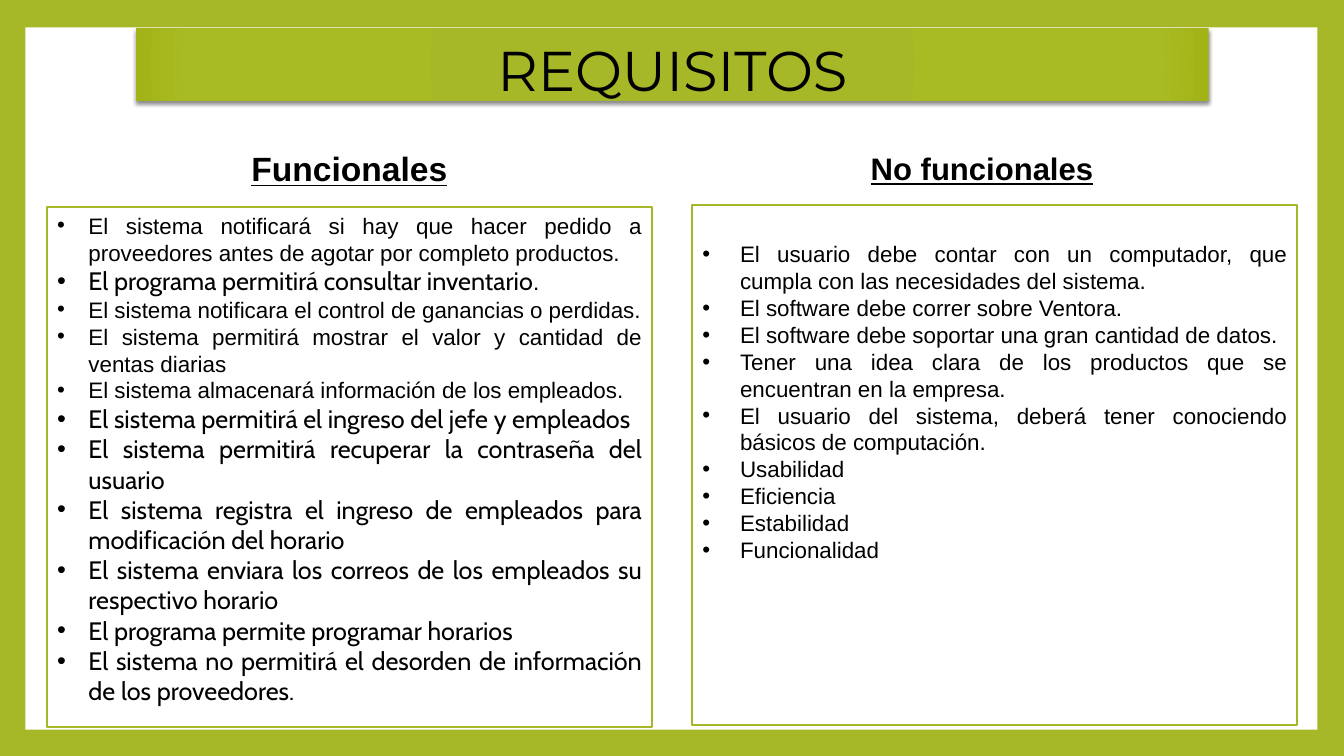
"""Build the slide that lists functional and non-functional requirements."""
from dataclasses import dataclass

from lxml.etree import SubElement
from pptx import Presentation
from pptx.dml.color import RGBColor
from pptx.enum.shapes import MSO_SHAPE
from pptx.enum.text import MSO_ANCHOR as Anchor, MSO_AUTO_SIZE as AutoSize, PP_ALIGN as Align
from pptx.oxml import parse_xml
from pptx.oxml.ns import nsdecls, qn
from pptx.shapes.base import BaseShape
from pptx.text.text import TextFrame, _Paragraph as Paragraph
from pptx.util import Cm, Pt

COLORS = {"green": "A6B727", "light": "A9BB23", "dark": "A1B316", "white": "FFFFFF", "black": "000000"}


@dataclass(frozen=True)
class Box:
    left: float
    top: float
    width: float
    height: float


@dataclass(frozen=True)
class Run:
    text: str
    size: float = 16
    font: str = "Arial"
    strong: bool = False


@dataclass(frozen=True)
class Column:
    head: Run
    head_box: Box
    body_box: Box
    indent: float
    inset_top: float
    items: list[list[Run]]


def arial(text: str) -> list[Run]:
    """Return an item in the regular list style."""
    return [Run(text)]


def cabin(text: str) -> list[Run]:
    """Return an item in the larger list style."""
    return [Run(text, 18, "Cabin")]


COLUMNS = [
    Column(
        Run("Funcionales", 24, strong=True),
        Box(6.15, 3.33, 5.31, 1.83), Box(1.19, 5.21, 15.24, 13.11), 0.79, 0.13,
        [
            arial("El sistema notificará si hay que hacer pedido a proveedores antes de agotar por completo productos."),
            cabin("El programa permitirá consultar inventario") + arial("."),
            arial("El sistema notificara el control de ganancias o perdidas."),
            arial("El sistema permitirá mostrar el valor y cantidad de ventas diarias"),
            arial("El sistema almacenará información de los empleados."),
            cabin("El sistema permitirá el ingreso del jefe y empleados"),
            cabin("El sistema permitirá recuperar la contraseña del usuario"),
            cabin("El sistema registra el ingreso de empleados para modificación del horario"),
            cabin("El sistema enviara los correos de los empleados su respectivo horario"),
            cabin("El programa permite programar horarios"),
            cabin("El sistema no permitirá el desorden de información de los proveedores."),
        ],
    ),
    Column(
        Run("No funcionales", 22.2, strong=True),
        Box(21.79, 3.33, 5.92, 1.83), Box(17.45, 5.16, 15.24, 13.11), 0.95, 0.9,
        [
            arial("El usuario debe contar con un computador, que cumpla con las necesidades del sistema."),
            arial("El software debe correr sobre Ventora."),
            arial("El software debe soportar una gran cantidad de datos."),
            arial("Tener una idea clara de los productos que se encuentran en la empresa."),
            arial("El usuario del sistema, deberá tener conociendo básicos de computación."),
            arial("Usabilidad"),
            arial("Eficiencia"),
            arial("Estabilidad"),
            arial("Funcionalidad"),
        ],
    ),
]


def rgb(name: str) -> RGBColor:
    """Return a palette colour."""
    return RGBColor.from_string(COLORS[name])


def place(sp: BaseShape, box: Box) -> None:
    """Move and size a shape."""
    sp.left, sp.top = Cm(box.left), Cm(box.top)
    sp.width, sp.height = Cm(box.width), Cm(box.height)


def set_frame(tf: TextFrame, anchor: Anchor, side: float, top: float) -> None:
    """Set the wrapping, anchor and insets of a text frame."""
    tf.word_wrap, tf.auto_size, tf.vertical_anchor = True, AutoSize.NONE, anchor
    tf.margin_left = tf.margin_right = Cm(side)
    tf.margin_top, tf.margin_bottom = Cm(top), Cm(0)


def write(p: Paragraph, runs: list[Run], align: Align) -> None:
    """Add formatted runs to a paragraph."""
    p.alignment, p.space_before, p.line_spacing = align, Pt(0), 1.0
    for run in runs:
        r = p.add_run()
        r.text = run.text
        r.font.name, r.font.size = run.font, Pt(run.size)
        r.font.bold = r.font.underline = run.strong
        r.font.color.rgb = rgb("black")


def add_bullet(p: Paragraph, indent: float) -> None:
    """Give a paragraph a hanging bullet."""
    pPr = p._p.get_or_add_pPr()
    pPr.set("marL", str(Cm(indent)))
    pPr.set("indent", str(-Cm(indent)))
    SubElement(pPr, qn("a:buFont"), typeface="Arial")
    SubElement(pPr, qn("a:buChar"), char="•")


def style_banner(sp: BaseShape) -> None:
    """Add the radial gradient and shadow of the title banner."""
    stops = "".join(
        f'<a:gs pos="{pos * 1000}"><a:srgbClr val="{COLORS[name]}"/></a:gs>'
        for pos, name in ((0, "green"), (90, "light"), (100, "dark"))
    )
    fill = (
        f'<a:gradFill {nsdecls("a")} rotWithShape="1"><a:gsLst>{stops}</a:gsLst><a:path path="circle">'
        '<a:fillToRect l="100000" t="100000" r="100000" b="100000"/></a:path></a:gradFill>'
    )
    shadow = (
        f'<a:effectLst {nsdecls("a")}><a:outerShdw blurRad="{Pt(3)}" dist="{Pt(2)}" dir="5400000" '
        f'rotWithShape="0"><a:srgbClr val="{COLORS["black"]}"><a:alpha val="45000"/></a:srgbClr>'
        '</a:outerShdw></a:effectLst>'
    )
    for xml in (fill, shadow):
        sp._element.spPr.append(parse_xml(xml))


def draw_column(head: BaseShape, body: BaseShape, column: Column) -> None:
    """Fill a heading and its framed list."""
    place(head, column.head_box)
    set_frame(head.text_frame, Anchor.MIDDLE, 0, 0)
    write(head.text_frame.paragraphs[0], [column.head], Align.CENTER)
    place(body, column.body_box)
    body.fill.solid()
    body.fill.fore_color.rgb = rgb("white")
    body.line.color.rgb, body.line.width = rgb("green"), Pt(1.5)
    tf = body.text_frame
    set_frame(tf, Anchor.TOP, 0.25, column.inset_top)
    for i, runs in enumerate(column.items):
        p = tf.add_paragraph() if i else tf.paragraphs[0]
        write(p, runs, Align.JUSTIFY)
        add_bullet(p, column.indent)


def main() -> None:
    """Build and save the presentation."""
    prs = Presentation()
    prs.slide_width, prs.slide_height = Cm(33.87), Cm(19.05)
    s = prs.slides.add_slide(prs.slide_layouts.get_by_name("Comparison"))
    s.background.fill.solid()
    s.background.fill.fore_color.rgb = rgb("green")
    panel = s.shapes.add_shape(MSO_SHAPE.RECTANGLE, Cm(0.64), Cm(0.69), Cm(32.56), Cm(17.7))
    panel.shadow.inherit = False
    panel.fill.solid()
    panel.fill.fore_color.rgb = rgb("white")
    panel.line.fill.background()
    s.shapes.element.insert(2, panel._element)
    title, *parts = s.placeholders
    place(title, Box(3.43, 0.71, 27.03, 1.83))
    style_banner(title)
    set_frame(title.text_frame, Anchor.TOP, 0.25, 0.18)
    write(title.text_frame.paragraphs[0], [Run("REQUISITOS", 40, "Montserrat")], Align.CENTER)
    for head, body, column in zip(parts[::2], parts[1::2], COLUMNS):
        draw_column(head, body, column)
    prs.save("out.pptx")


if __name__ == "__main__":
    main()
